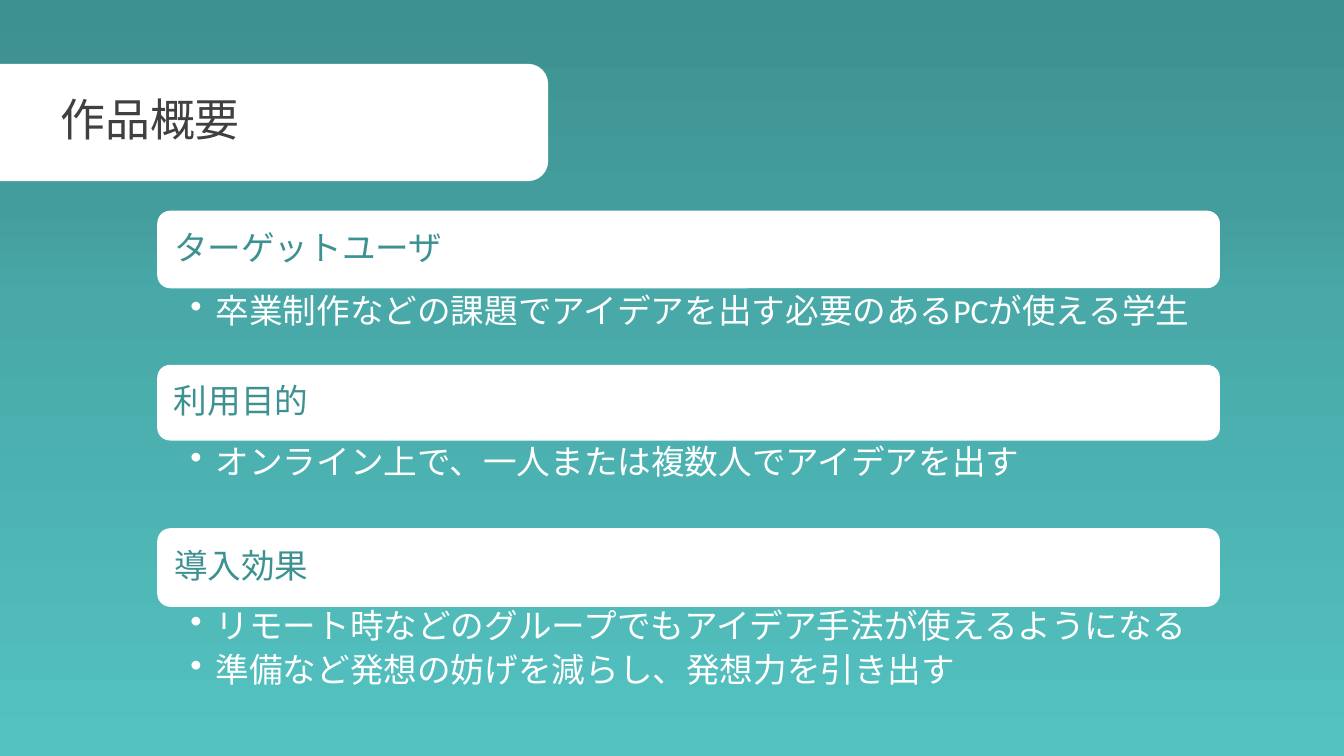
from lxml import etree
from pptx import Presentation
from pptx.dml.color import RGBColor
from pptx.enum.lang import MSO_LANGUAGE_ID
from pptx.enum.shapes import MSO_SHAPE
from pptx.enum.text import MSO_ANCHOR, MSO_AUTO_SIZE, PP_ALIGN
from pptx.oxml.ns import qn
from pptx.util import Inches, Pt

ROUNDED = MSO_SHAPE.ROUNDED_RECTANGLE
MIDDLE = MSO_ANCHOR.MIDDLE
TOP = MSO_ANCHOR.TOP
LEFT = PP_ALIGN.LEFT
NO_AUTOFIT = MSO_AUTO_SIZE.NONE
JAPANESE = MSO_LANGUAGE_ID.JAPANESE

COLORS = {
    "white": "FFFFFF",
    "title": "404040",
    "heading": "3D9190",
}
BACKGROUND_STOPS = [(0, "53C2C0"), (60, "48A9A8"), (73, "439D9C"), (100, "3D9190")]
BODY_FONT = "Calibri"
HEADING_FONT = "Noto Sans CJK JP"

SECTION_LEFT, SECTION_WIDTH = 1.56, 10.54
SECTIONS = [
    (2.09, 0.77, 2.89, 0.66, "ターゲットユーザ",
     ["卒業制作などの課題でアイデアを出す必要のあるPCが使える学生"]),
    (3.62, 0.75, 4.39, 0.91, "利用目的",
     ["オンライン上で、一人または複数人でアイデアを出す"]),
    (5.24, 0.78, 6.02, 1.22, "導入効果",
     ["リモート時などのグループでもアイデア手法が使えるようになる",
      "準備など発想の妨げを減らし、発想力を引き出す"]),
]


def rgb(name):
    return RGBColor.from_string(COLORS[name])


def paint_background(slide):
    fill = slide.background.fill
    fill.gradient()
    fill.gradient_angle = 90
    stops = slide.element.find(".//" + qn("a:gsLst"))
    for stop in list(stops):
        stops.remove(stop)
    for percent, color in BACKGROUND_STOPS:
        stop = etree.SubElement(stops, qn("a:gs"), pos=str(percent * 1000))
        etree.SubElement(stop, qn("a:srgbClr"), val=color)


def set_frame(frame, anchor, left, top, right, bottom):
    frame.word_wrap = True
    frame.auto_size = NO_AUTOFIT
    frame.vertical_anchor = anchor
    frame.margin_left, frame.margin_top = Inches(left), Inches(top)
    frame.margin_right, frame.margin_bottom = Inches(right), Inches(bottom)


def write(paragraph, text, size, font_name, color):
    paragraph.alignment = LEFT
    paragraph.line_spacing = 0.9
    run = paragraph.add_run()
    run.text = text
    run.font.size = Pt(size)
    run.font.name = font_name
    run.font.color.rgb = rgb(color)
    run.font.language_id = JAPANESE


def add_panel(slide, left, top, width, height):
    panel = slide.shapes.add_shape(
        ROUNDED, Inches(left), Inches(top), Inches(width), Inches(height))
    panel.shadow.inherit = False
    panel.fill.solid()
    panel.fill.fore_color.rgb = rgb("white")
    panel.line.fill.background()
    return panel


def add_bullet(paragraph):
    properties = paragraph._p.get_or_add_pPr()
    properties.set("marL", str(Inches(0.25)))
    properties.set("indent", str(-Inches(0.25)))
    etree.SubElement(properties, qn("a:buChar"), char="•")


def add_title_banner(slide, left, top, width, height, text):
    banner = add_panel(slide, left, top, width, height)
    banner.line.color.rgb = rgb("white")
    banner.line.width = Pt(1)
    title = slide.shapes.title
    title.element.addprevious(banner.element)
    title.left, title.top = Inches(left + 0.06), Inches(top + 0.05)
    title.width, title.height = Inches(width - 0.11), Inches(height - 0.12)
    set_frame(title.text_frame, MIDDLE, 1.04, 0.15, 0.15, 0.15)
    write(title.text_frame.paragraphs[0], text, 32, BODY_FONT, "title")


def add_section(slide, top, height, body_top, body_height, heading, points):
    panel = add_panel(slide, SECTION_LEFT, top, SECTION_WIDTH, height)
    set_frame(panel.text_frame, MIDDLE, 0.13, 0.1, 0.13, 0.1)
    write(panel.text_frame.paragraphs[0], heading, 24, HEADING_FONT, "heading")

    body = slide.shapes.add_textbox(
        Inches(SECTION_LEFT), Inches(body_top),
        Inches(SECTION_WIDTH), Inches(body_height))
    frame = body.text_frame
    set_frame(frame, TOP, 0.33, 0.03, 0.19, 0.03)
    for index, point in enumerate(points):
        paragraph = frame.add_paragraph() if index else frame.paragraphs[0]
        paragraph.level = 1
        add_bullet(paragraph)
        paragraph.space_after = Pt(5)
        write(paragraph, point, 24, BODY_FONT, "white")


def main():
    deck = Presentation()
    deck.slide_width, deck.slide_height = Inches(13.33), Inches(7.5)
    slide = deck.slides.add_slide(deck.slide_layouts[5])
    paint_background(slide)
    for section in SECTIONS:
        add_section(slide, *section)
    add_title_banner(slide, -0.5, 0.64, 5.93, 1.15, "作品概要")
    deck.save("out.pptx")


if __name__ == "__main__":
    main()
